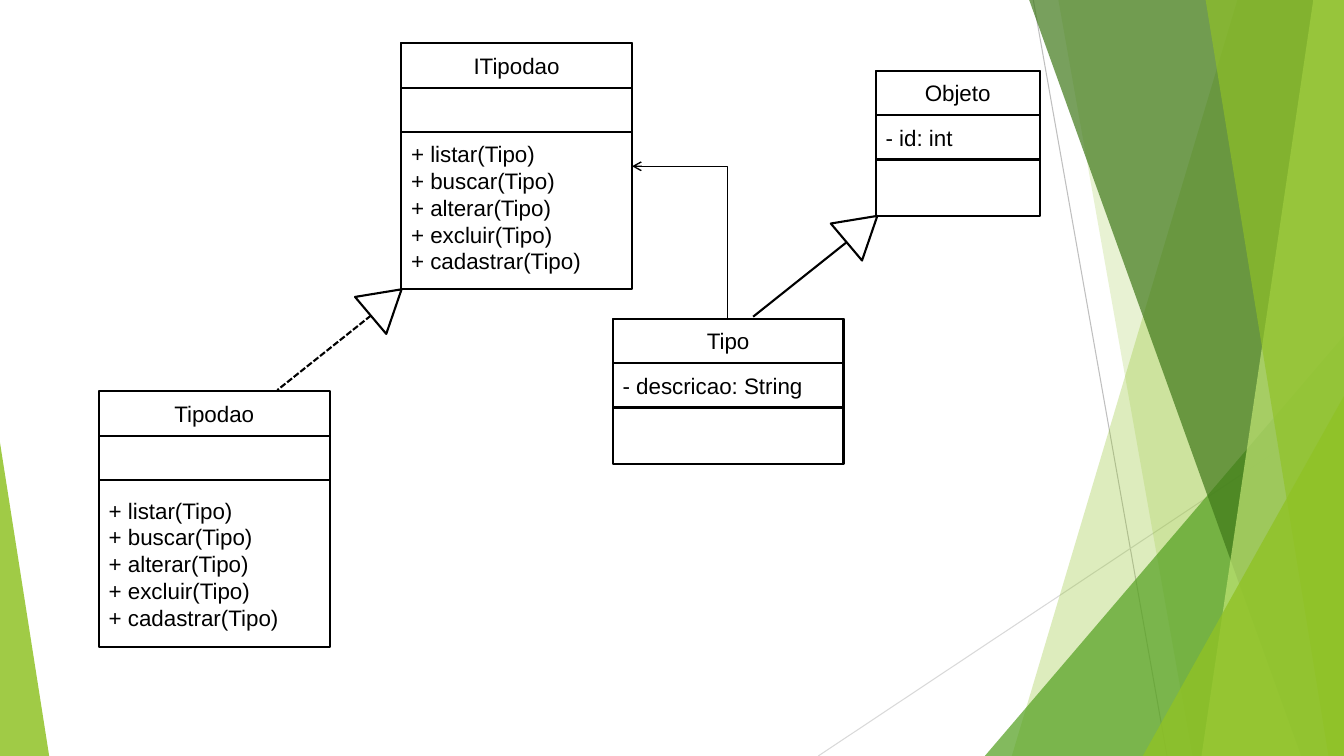
from lxml import etree
from pptx import Presentation
from pptx.dml.color import RGBColor
from pptx.enum.dml import MSO_LINE
from pptx.enum.shapes import MSO_CONNECTOR, MSO_SHAPE
from pptx.enum.text import MSO_ANCHOR, PP_ALIGN
from pptx.oxml.ns import qn
from pptx.util import Cm, Pt

RECTANGLE, TRIANGLE = MSO_SHAPE.RECTANGLE, MSO_SHAPE.ISOSCELES_TRIANGLE
STRAIGHT, ELBOW = MSO_CONNECTOR.STRAIGHT, MSO_CONNECTOR.ELBOW
SYS_DASH = MSO_LINE.SQUARE_DOT
MIDDLE = MSO_ANCHOR.MIDDLE
LEFT, CENTER = PP_ALIGN.LEFT, PP_ALIGN.CENTER

BLACK = RGBColor(0x00, 0x00, 0x00)
WHITE = RGBColor(0xFF, 0xFF, 0xFF)
LIME = RGBColor(0x90, 0xC2, 0x26)
GREEN = RGBColor(0x54, 0xA0, 0x21)
DARK_GREEN = RGBColor(0x3F, 0x78, 0x19)
PALE_LIME = RGBColor(0xC0, 0xE4, 0x74)
GREY = RGBColor(0xBF, 0xBF, 0xBF)
LIGHT_GREY = RGBColor(0xD9, 0xD9, 0xD9)

# All lengths are in centimetres.
SLIDE_WIDTH, SLIDE_HEIGHT = 33.87, 19.05
BLEED = 0.02
ROW = 1.12
OPERATIONS = [f"+ {verb}(Tipo)" for verb in
              ("listar", "buscar", "alterar", "excluir", "cadastrar")]


class ClassDiagram:
    font_format = {"name": "Arial", "size": Pt(16)}
    frame_format = {"word_wrap": True, "vertical_anchor": MIDDLE}
    outline_width = 1.5

    def __init__(self, slide):
        self.shapes = slide.shapes

    def paint(self, shape, color, opacity):
        """Give a decoration a translucent fill without an outline."""
        shape.shadow.inherit = False
        shape.fill.solid()
        shape.fill.fore_color.rgb = color
        shape.line.fill.background()
        rgb = shape._element.spPr.find(".//" + qn("a:srgbClr"))
        etree.SubElement(rgb, qn("a:alpha"), val=str(opacity * 1000))

    def band(self, top_x, bottom_x, color, opacity):
        """Fill from a slanted left edge to the right side of the slide."""
        builder = self.shapes.build_freeform(Cm(top_x), Cm(-BLEED))
        builder.add_line_segments([
            (Cm(SLIDE_WIDTH), Cm(-BLEED)),
            (Cm(SLIDE_WIDTH), Cm(SLIDE_HEIGHT)),
            (Cm(bottom_x), Cm(SLIDE_HEIGHT)),
        ], close=True)
        self.paint(builder.convert_to_shape(), color, opacity)

    def corner(self, left, top, width, apex, color, opacity):
        """Stand a right triangle on the bottom edge of the slide."""
        wedge = self.shapes.add_shape(
            TRIANGLE, Cm(left), Cm(top), Cm(width), Cm(SLIDE_HEIGHT - top))
        wedge.adjustments[0] = apex
        self.paint(wedge, color, opacity)

    def line(self, start, end, color=BLACK, width=outline_width,
             kind=STRAIGHT, dash=None):
        connector = self.shapes.add_connector(
            kind, *(Cm(value) for value in start + end))
        connector.line.color.rgb = color
        connector.line.width = Pt(width)
        if dash:
            connector.line.dash_style = dash
        etree.SubElement(connector._element.spPr, qn("a:effectLst"))
        return connector

    def association(self, target, source):
        """Join two classes by one right angle, with an arrow at the target."""
        properties = self.line(target, source, width=1,
                               kind=ELBOW)._element.spPr
        properties.find(qn("a:prstGeom")).set("prst", "bentConnector2")
        etree.SubElement(properties.find(qn("a:ln")), qn("a:headEnd"),
                         type="arrow")

    def outlined(self, preset, left, top, width, height):
        shape = self.shapes.add_shape(
            preset, Cm(left), Cm(top), Cm(width), Cm(height))
        shape.shadow.inherit = False
        shape.fill.solid()
        shape.fill.fore_color.rgb = WHITE
        shape.line.color.rgb = BLACK
        shape.line.width = Pt(self.outline_width)
        return shape

    def inheritance(self, left, top, dash=None):
        """Draw a hollow arrowhead and its shaft, pointing up and right."""
        head = self.outlined(TRIANGLE, left, top, 1.22, 1.02)
        head.rotation = 49.8
        self.line((left + 0.23, top + 0.84), (left - 2.13, top + 2.72),
                  dash=dash)

    def compartment(self, left, top, width, height, lines=(), align=LEFT,
                    inset=0.13):
        frame = self.outlined(RECTANGLE, left, top, width, height).text_frame
        for name, value in self.frame_format.items():
            setattr(frame, name, value)
        frame.margin_top = Cm(inset)
        for index, text in enumerate(lines):
            paragraph = frame.paragraphs[0] if index == 0 else frame.add_paragraph()
            paragraph.alignment = align
            run = paragraph.add_run()
            run.text = text
            for name, value in self.font_format.items():
                setattr(run.font, name, value)
            run.font.color.rgb = BLACK

    def uml_class(self, name, left, top, width, height, fields=(),
                  operations=(), framed=True):
        """Stack name, fields and operations; a framed body spans all three."""
        if framed:
            self.compartment(left, top, width, height, operations,
                             inset=2 * ROW - 0.05)
        else:
            self.compartment(left, top + 2 * ROW, width, height - 2 * ROW,
                             operations)
        self.compartment(left, top, width, ROW, [name], CENTER)
        self.compartment(left, top + ROW, width, ROW, fields)


def main():
    deck = Presentation()
    deck.slide_width, deck.slide_height = Cm(SLIDE_WIDTH), Cm(SLIDE_HEIGHT)
    blank_layout = deck.slide_layouts.get_by_name("Blank")
    diagram = ClassDiagram(deck.slides.add_slide(blank_layout))

    diagram.line((26.04, 0), (29.41, SLIDE_HEIGHT), GREY, 0.75)
    diagram.line((SLIDE_WIDTH, 10.24), (20.62, SLIDE_HEIGHT), LIGHT_GREY, 0.75)
    diagram.band(31.19, 25.5, LIME, 30)
    diagram.band(26.67, 30.05, LIME, 20)
    diagram.corner(24.82, 8.46, 9.05, 1, GREEN, 72)
    diagram.band(25.93, 32.79, DARK_GREEN, 70)
    diagram.band(33.1, 30.28, PALE_LIME, 70)
    diagram.band(30.38, 33.48, LIME, 65)
    diagram.corner(28.8, 9.98, 5.07, 1, LIME, 80)
    diagram.corner(0, 11.15, 1.24, 0, LIME, 85)

    diagram.uml_class("Tipo", 15.44, 8.03, 5.82, 3.66,
                      fields=["- descricao: String"])
    diagram.uml_class("ITipodao", 10.11, 1.09, 5.82, 6.2,
                      operations=OPERATIONS)
    diagram.association((15.93, 4.19), (18.34, 8.03))
    diagram.uml_class("Objeto", 22.07, 1.78, 4.13, 3.66,
                      fields=["- id: int"])
    diagram.inheritance(21.11, 5.26)
    diagram.uml_class("Tipodao", 2.49, 9.86, 5.82, 6.45,
                      operations=OPERATIONS, framed=False)
    diagram.inheritance(9.12, 7.11, SYS_DASH)

    deck.save("out.pptx")


if __name__ == "__main__":
    main()
